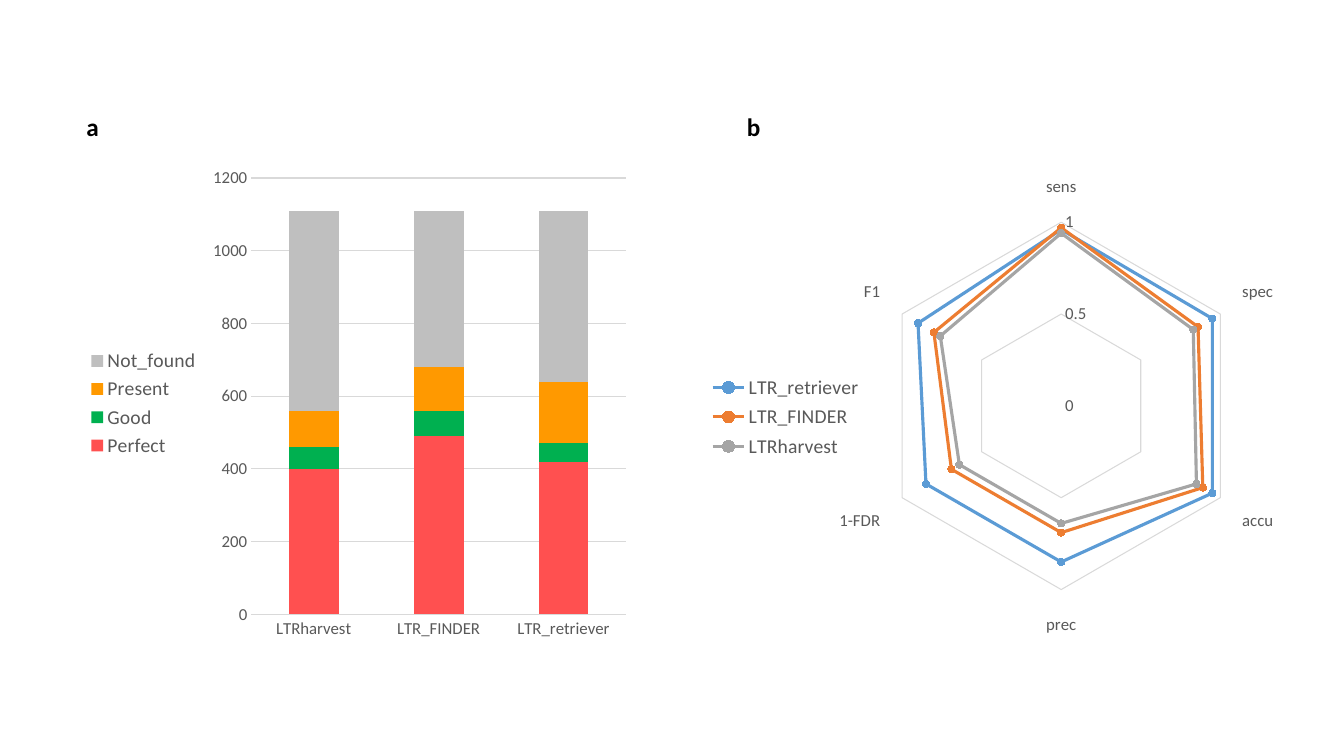
from dataclasses import dataclass

from pptx import Presentation
from pptx.chart.data import CategoryChartData
from pptx.dml.color import RGBColor
from pptx.enum.chart import XL_CHART_TYPE, XL_LEGEND_POSITION, XL_MARKER_STYLE, XL_TICK_MARK
from pptx.enum.text import MSO_AUTO_SIZE
from pptx.oxml import parse_xml
from pptx.oxml.ns import nsdecls, qn
from pptx.util import Pt

RADAR = XL_CHART_TYPE.RADAR_MARKERS
STACKED = XL_CHART_TYPE.COLUMN_STACKED
LEGEND_LEFT = XL_LEGEND_POSITION.LEFT
CIRCLE = XL_MARKER_STYLE.CIRCLE
NO_TICK = XL_TICK_MARK.NONE
FIT_SHAPE = MSO_AUTO_SIZE.SHAPE_TO_FIT_TEXT
EMU_PER_PX = 9144  # 100 px to the inch


@dataclass(frozen=True)
class Theme:
    font: str = "Calibri"
    black: str = "000000"
    label: str = "595959"
    rule: str = "D9D9D9"
    bar_colors: tuple = ("FF5050", "00B050", "FF9900", "BFBFBF")
    radar_colors: tuple = ("5B9BD5", "ED7D31", "A5A5A5")
    chart_size: int = 10
    axis_size: int = 12
    legend_size: int = 14
    panel_size: int = 18
    rule_width: float = 0.75
    series_width: float = 2.25
    marker_size: int = 5


def px(*lengths):
    return [length * EMU_PER_PX for length in lengths]


def manual_layout(fractions, inner=False):
    target = '<c:layoutTarget val="inner"/>' if inner else ""
    modes = "".join(f'<c:{name}Mode val="edge"/>' for name in "xy")
    sizes = "".join(f'<c:{name} val="{value}"/>' for name, value in zip("xywh", fractions))
    return parse_xml(f'<c:layout {nsdecls("c")}><c:manualLayout>{target}{modes}{sizes}'
                     "</c:manualLayout></c:layout>")


class FigureSlide:
    def __init__(self, presentation, theme):
        self.theme = theme
        self.slide = presentation.slides.add_slide(presentation.slide_layouts[6])

    def style_font(self, font, size, color, bold=False):
        for name, value in {"name": self.theme.font, "size": Pt(size), "bold": bold}.items():
            setattr(font, name, value)
        font.color.rgb = RGBColor.from_string(color)

    def style_line(self, line, color, width):
        line.color.rgb = RGBColor.from_string(color)
        line.width = Pt(width)

    def panel_letter(self, text, left, top, width, height):
        box = self.slide.shapes.add_textbox(*px(left, top, width, height))
        frame = box.text_frame
        for name, value in {"text": text, "word_wrap": False, "auto_size": FIT_SHAPE}.items():
            setattr(frame, name, value)
        font = frame.paragraphs[0].runs[0].font
        self.style_font(font, self.theme.panel_size, self.theme.black, bold=True)

    def chart(self, kind, categories, series, place, top_value, step):
        theme = self.theme
        data = CategoryChartData()
        data.categories = categories
        for name, values in series.items():
            data.add_series(name, values)
        chart = self.slide.shapes.add_chart(kind, *px(*place), data).chart
        chart.has_title = False
        self.style_font(chart.font, theme.chart_size, theme.black)

        # Legend
        chart.has_legend = True
        chart.legend.position = LEGEND_LEFT
        chart.legend.include_in_layout = False
        self.style_font(chart.legend.font, theme.legend_size, theme.label)

        # Axes
        for axis in (chart.category_axis, chart.value_axis):
            axis.major_tick_mark = axis.minor_tick_mark = NO_TICK
            self.style_font(axis.tick_labels.font, theme.axis_size, theme.label)
        chart.category_axis.has_major_gridlines = False
        self.style_line(chart.category_axis.format.line, theme.rule, theme.rule_width)
        scale = {"minimum_scale": 0, "maximum_scale": top_value, "major_unit": step,
                 "has_major_gridlines": True}
        for name, value in scale.items():
            setattr(chart.value_axis, name, value)
        chart.value_axis.format.line.fill.background()
        self.style_line(chart.value_axis.major_gridlines.format.line, theme.rule, theme.rule_width)
        return chart

    def stacked_columns(self, categories, series, place, top_value, step):
        plot = self.chart(STACKED, categories, series, place, top_value, step).plots[0]
        for name, value in {"gap_width": 150, "overlap": 100, "vary_by_categories": False}.items():
            setattr(plot, name, value)
        for column, color in zip(plot.series, self.theme.bar_colors):
            column.format.fill.solid()
            column.format.fill.fore_color.rgb = RGBColor.from_string(color)

    def radar(self, categories, series, place, top_value, step, plot_box, legend_box):
        theme = self.theme
        chart = self.chart(RADAR, categories, series, place, top_value, step)
        chart.plots[0].vary_by_categories = False
        for ring, color in zip(chart.plots[0].series, theme.radar_colors):
            ring.smooth = False
            self.style_line(ring.format.line, color, theme.series_width)
            ring.marker.style = CIRCLE
            ring.marker.size = theme.marker_size
            ring.marker.format.fill.solid()
            ring.marker.format.fill.fore_color.rgb = RGBColor.from_string(color)
            self.style_line(ring.marker.format.line, color, theme.rule_width)

        # Fixed places for the plot and the legend
        plot_area = chart._chartSpace.xpath("c:chart/c:plotArea")[0]
        for layout in plot_area.findall(qn("c:layout")):
            plot_area.remove(layout)
        plot_area.insert(0, manual_layout(plot_box, inner=True))
        legend = chart.legend._element
        for layout in legend.findall(qn("c:layout")):
            legend.remove(layout)
        legend.find(qn("c:legendPos")).addnext(manual_layout(legend_box))


def main():
    presentation = Presentation()
    presentation.slide_width, presentation.slide_height = px(1333, 750)
    figure = FigureSlide(presentation, Theme())

    # Panel b: performance measures
    figure.radar(
        ("sens", "spec", "accu", "prec", "1-FDR", "F1"),
        {"LTR_retriever": (0.96, 0.95, 0.95, 0.85, 0.85, 0.9),
         "LTR_FINDER": (0.97, 0.86, 0.89, 0.69, 0.69, 0.8),
         "LTRharvest": (0.94, 0.83, 0.85, 0.64, 0.64, 0.76)},
        (632, 127, 701, 546), top_value=1, step=0.5,
        plot_box=(0.34, 0.16, 0.52, 0.69), legend_box=(0.1, 0.44, 0.22, 0.17))

    # Panel a: element counts
    figure.stacked_columns(
        ("LTRharvest", "LTR_FINDER", "LTR_retriever"),
        {"Perfect": (400, 490, 420),
         "Good": (60, 70, 50),
         "Present": (100, 120, 170),
         "Not_found": (550, 430, 470)},
        (76, 157, 556, 486), top_value=1200, step=200)

    # Panel letters
    for letter, left in (("a", 76), ("b", 731)):
        figure.panel_letter(letter, left, 106, 33, 40)

    presentation.save("out.pptx")


if __name__ == "__main__":
    main()
